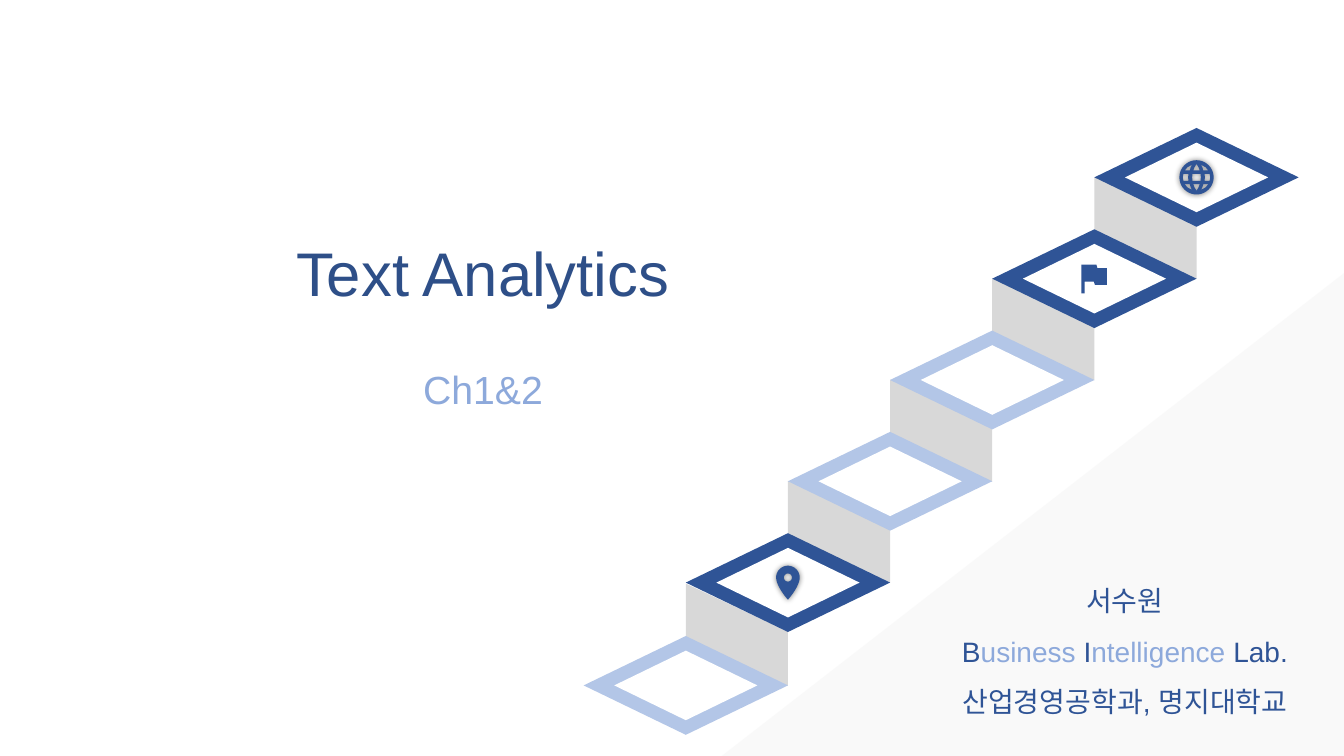
from collections.abc import Sequence
from dataclasses import dataclass
from math import cos, pi, sin

from lxml.etree import SubElement
from pptx import Presentation
from pptx.dml.color import RGBColor
from pptx.enum.shapes import MSO_SHAPE as Kind
from pptx.enum.text import MSO_ANCHOR as Anchor, MSO_AUTO_SIZE as Fit, PP_ALIGN as Align
from pptx.oxml.ns import qn
from pptx.shapes.autoshape import Shape
from pptx.slide import Slide
from pptx.util import Inches, Pt

Point = tuple[float, float]
Loop = list[Point]

WIDE, HIGH = Inches(13.333), Inches(7.5)
HUE = {"navy": "2F5496", "title": "2E4F88", "sky": "8DA9DB", "pale": "B3C6E7",
       "grey": "D8D8D8", "mist": "F2F2F2", "white": "FFFFFF", "black": "000000"}

# Stair grid, in percent of the slide's width and height
LEFT, TOP = 43.43, 16.93
COL, ROW = 7.6, 13.4
TREAD_H, HOLE_W, HOLE_H = 13.07, 10.65, 9.2
RISE, LAST = 6.93, 5


@dataclass
class Box:
    """A frame in percent of the slide's size."""
    x: float
    y: float
    w: float
    h: float

    def emu(self) -> tuple[int, int, int, int]:
        return (round(self.x * WIDE / 100), round(self.y * HIGH / 100),
                round(self.w * WIDE / 100), round(self.h * HIGH / 100))


@dataclass
class Icon:
    """Closed outlines around a centre, in 1/750 of the slide's height."""
    loops: list[Loop]
    glow: bool = False


@dataclass
class Step:
    hue: str
    icon: Icon | None = None
    dip: float = 0


def arc(x: float, y: float, r: float, start: float = 0, turn: float = 2) -> Loop:
    """Points on a circle; angles in half turns."""
    return [(x + r * cos(pi * (start + turn * i / 40)),
             y + r * sin(pi * (start + turn * i / 40))) for i in range(41)]


def curve(a: Point, b: Point, c: Point, d: Point) -> Loop:
    """Points on a cubic Bezier curve."""
    def at(t: float, k: int) -> float:
        u = 1 - t
        return u**3 * a[k] + 3 * u * u * t * b[k] + 3 * u * t * t * c[k] + t**3 * d[k]
    return [(at(i / 12, 0), at(i / 12, 1)) for i in range(13)]


def flip(loop: Loop, sx: int, sy: int) -> Loop:
    return [(x * sx, y * sy) for x, y in loop]


def pin() -> Icon:
    y = -5
    edge = curve((11.7, y), (11.7, 4), (0, 17), (0, 17))
    body = arc(0, y, 11.7, 1, 1) + edge + flip(edge[::-1], -1, 1)
    return Icon([body, arc(0, y, 4)], glow=True)


def globe() -> Icon:
    side = [(8, -3.4), (13, -3.4), (13.6, 0), (13, 3.4), (8, 3.4), (8.3, 0)]
    cap = [(-3.2, -6.8), (-2, -10), (0, -13.3), (2, -10), (3.2, -6.8)]
    nook = [(6.7, -6.8), (11.7, -6.8), (9, -10), (4.4, -12.5), (5.8, -9.8)]
    core = [(-4, -3.4), (4, -3.4), (4.3, 0), (4, 3.4), (-4, 3.4), (-4.3, 0)]
    holes = [core, *(flip(side, s, 1) for s in (1, -1)), *(flip(cap, 1, s) for s in (1, -1)),
             *(flip(nook, s, t) for s in (1, -1) for t in (1, -1))]
    return Icon([arc(0, 0, 17), *holes], glow=True)


def flag() -> Icon:
    return Icon([[(3, -10.5), (2, -14), (-13, -14), (-13, 14.5), (-9.7, 14.5), (-9.7, 3),
                  (-0.5, 3), (0.5, 6.2), (12.5, 6.2), (12.5, -10.5)]])


def paint(shape: Shape, hue: str) -> Shape:
    shape.shadow.inherit = False
    shape.fill.solid()
    shape.fill.fore_color.rgb = RGBColor.from_string(HUE[hue])
    shape.line.fill.background()
    return shape


def draw(slide: Slide, kind: Kind, box: Box, hue: str) -> Shape:
    return paint(slide.shapes.add_shape(kind, *box.emu()), hue)


def riser(slide: Slide, x: float, y: float) -> None:
    box = Box(x, y, COL, COL * WIDE / HIGH)
    shape = draw(slide, Kind.PARALLELOGRAM, box, "grey")
    shape.adjustments[0] = 0.47
    shape.rotation = 270


def tread(slide: Slide, x: float, y: float, step: Step) -> None:
    draw(slide, Kind.DIAMOND, Box(x, y, 2 * COL, TREAD_H), step.hue)
    hole = Box(x + COL - HOLE_W / 2, y + (TREAD_H - HOLE_H) / 2, HOLE_W, HOLE_H)
    draw(slide, Kind.DIAMOND, hole, "white")
    if step.icon:
        stamp(slide, step.icon, x + COL, y + TREAD_H / 2)


def stamp(slide: Slide, icon: Icon, x: float, y: float) -> None:
    """Draw an icon centred on a point given in percent."""
    unit = HIGH / 750
    loops = [[(round(x * WIDE / 100 + a * unit), round(y * HIGH / 100 + b * unit))
              for a, b in loop] for loop in icon.loops]
    pen = slide.shapes.build_freeform(*loops[0][0])
    for i, loop in enumerate(loops):
        if i:
            pen.move_to(*loop[0])
        pen.add_line_segments(loop[1:], close=True)
    shape = paint(pen.convert_to_shape(), step_hue)
    if icon.glow:
        effects = shape.element.spPr.find(qn("a:effectLst"))
        shade = SubElement(effects, qn("a:outerShdw"), blurRad=str(Pt(4)), dist="0", dir="0")
        tint = SubElement(shade, qn("a:srgbClr"), val=HUE["black"])
        SubElement(tint, qn("a:alpha"), val="45000")


step_hue = "navy"


def corner(slide: Slide) -> None:
    """Draw the faint triangle in the lower right corner."""
    shape = draw(slide, Kind.RIGHT_TRIANGLE, Box(53.7, 36.13, 46.3, 63.87), "mist")
    props = shape.element.spPr
    props.find(qn("a:xfrm")).set("flipH", "1")
    tint = props.find(qn("a:solidFill")).find(qn("a:srgbClr"))
    SubElement(tint, qn("a:alpha"), val="40000")


def write(slide: Slide, box: Box, lines: Sequence[Sequence[tuple[str, str]]], *,
          size: int, space: float = 1, font: str = "Arial") -> None:
    """Write centred lines, each a row of (text, hue) runs."""
    frame = slide.shapes.add_textbox(*box.emu()).text_frame
    frame.word_wrap = True
    frame.auto_size = Fit.SHAPE_TO_FIT_TEXT
    frame.vertical_anchor = Anchor.MIDDLE
    frame.margin_left = frame.margin_right = frame.margin_top = frame.margin_bottom = 0
    for i, line in enumerate(lines):
        para = frame.add_paragraph() if i else frame.paragraphs[0]
        para.alignment = Align.CENTER
        para.line_spacing = space
        for text, hue in line:
            run = para.add_run()
            run.text = text
            run.font.name = font
            run.font.size = Pt(size)
            run.font.color.rgb = RGBColor.from_string(HUE[hue])


def main() -> None:
    deck = Presentation()
    deck.slide_width, deck.slide_height = WIDE, HIGH
    slide = deck.slides.add_slide(deck.slide_layouts[6])
    corner(slide)

    steps = [Step("pale", dip=0.2), Step("navy", pin()), Step("pale"), Step("pale"),
             Step("navy", flag()), Step("navy", globe())]
    spots = [(LEFT + COL * i, TOP + ROW * (LAST - i) + step.dip)
             for i, step in enumerate(steps)]
    for x, y in spots[:LAST]:
        riser(slide, x + COL, y - RISE)
    for (x, y), step in zip(spots, steps):
        tread(slide, x, y, step)

    write(slide, Box(3.38, 31.07, 65.1, 9.87), [[("Text Analytics", "title")]], size=44)
    write(slide, Box(3.38, 48.27, 65.1, 6.27), [[("Ch1&2", "sky")]], size=28)
    lab = [("B", "navy"), ("usiness ", "sky"), ("I", "navy"), ("ntelligence ", "sky"),
           ("Lab.", "navy")]
    write(slide, Box(69.9, 74.93, 27.6, 20.13),
          [[("서수원", "navy")], lab, [("산업경영공학과, 명지대학교", "navy")]],
          size=20, space=1.5)
    deck.save("out.pptx")


if __name__ == "__main__":
    main()
